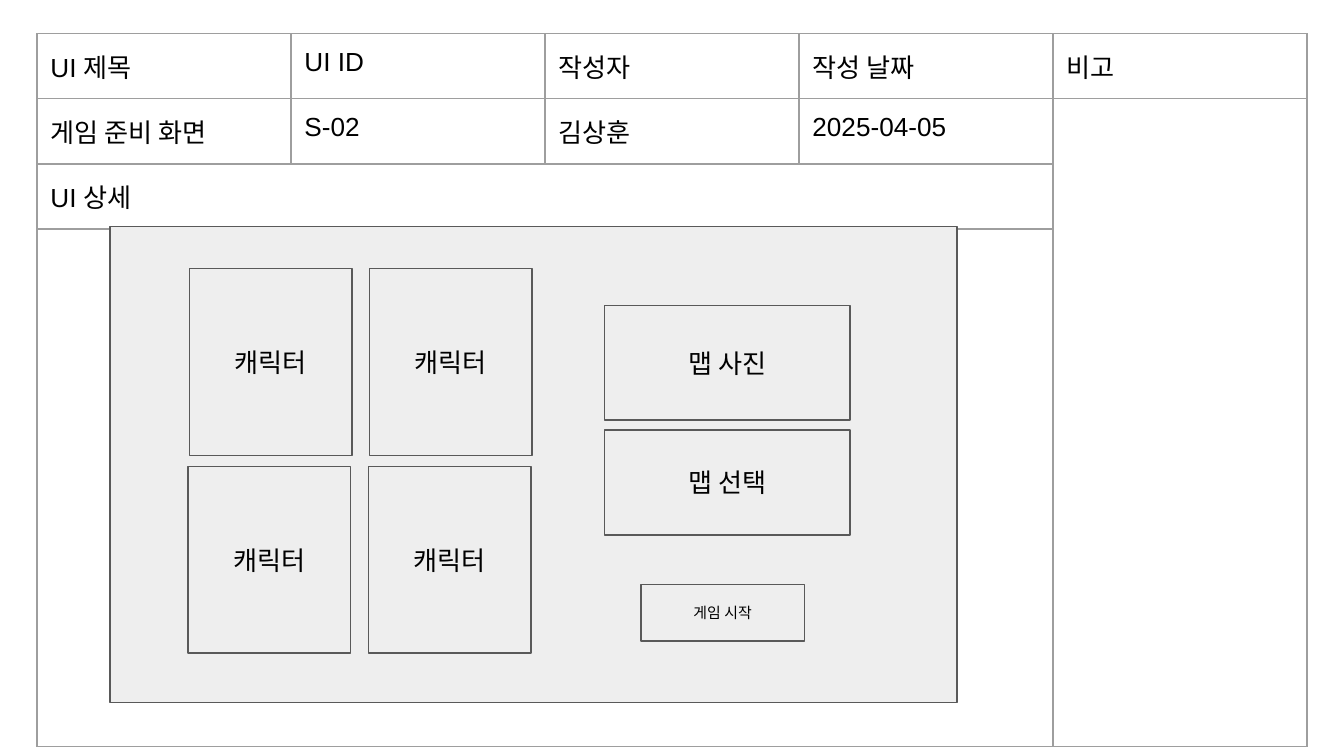
import pptx
import pptx.dml.color
import pptx.enum.shapes
import pptx.enum.text
import pptx.oxml
import pptx.oxml.ns
import pptx.util

BLACK = pptx.dml.color.RGBColor(0x00, 0x00, 0x00)
PANEL = pptx.dml.color.RGBColor(0xEE, 0xEE, 0xEE)
OUTLINE = pptx.dml.color.RGBColor(0x59, 0x59, 0x59)
BORDER = pptx.dml.color.RGBColor(0x9E, 0x9E, 0x9E)

GRID_COLUMNS = 100
SLIDE_WIDTH = pptx.util.Inches(10)
SLIDE_HEIGHT = SLIDE_WIDTH * 9 // 16


class WireframeSlide:
    cell_size = SLIDE_WIDTH // GRID_COLUMNS
    line_width = pptx.util.Pt(0.75)
    text_size = 14
    font_name = "Arial"

    def __init__(self, presentation):
        self.slide = presentation.slides.add_slide(presentation.slide_layouts[6])

    def grid(self, *values):
        return [round(value * self.cell_size) for value in values]

    def apply(self, target, formats):
        for name, value in formats.items():
            setattr(target, name, value)

    def add_text(self, text_frame, text, size):
        paragraph = text_frame.paragraphs[0]
        run = paragraph.add_run()
        run.text = text
        self.apply(run.font, {"name": self.font_name, "size": pptx.util.Pt(size), "bold": False})
        run.font.color.rgb = BLACK
        return paragraph

    def margins(self, target):
        sides = ("left", "top", "right", "bottom")
        self.apply(target, {f"margin_{side}": self.cell_size for side in sides})

    def box(self, left, top, width, height, text="", size=text_size):
        shape = self.slide.shapes.add_shape(
            pptx.enum.shapes.MSO_SHAPE.RECTANGLE, *self.grid(left, top, width, height)
        )
        shape.shadow.inherit = False
        shape.fill.solid()
        shape.fill.fore_color.rgb = PANEL
        shape.line.color.rgb = OUTLINE
        shape.line.width = self.line_width
        if text:
            self.margins(shape.text_frame)
            self.apply(shape.text_frame, {
                "word_wrap": True,
                "vertical_anchor": pptx.enum.text.MSO_ANCHOR.MIDDLE,
            })
            paragraph = self.add_text(shape.text_frame, text, size)
            paragraph.alignment = pptx.enum.text.PP_ALIGN.CENTER

    def border(self, cell):
        properties = cell._tc.get_or_add_tcPr()
        for position, side in enumerate(("lnL", "lnR", "lnT", "lnB")):
            line = pptx.oxml.parse_xml(
                f'<a:{side} {pptx.oxml.ns.nsdecls("a")} w="{int(self.line_width)}">'
                f'<a:solidFill><a:srgbClr val="{BORDER}"/></a:solidFill></a:{side}>'
            )
            properties.insert(position, line)

    def table(self, left, top, width, row_heights, rows, merges):
        column_count = len(rows[0])
        frame = self.slide.shapes.add_table(
            len(rows), column_count, *self.grid(left, top, width, sum(row_heights))
        )
        table = frame.table
        self.apply(table, {"first_row": False, "horz_banding": False})
        for column in table.columns:
            column.width = self.grid(width / column_count)[0]
        for row, height in zip(table.rows, row_heights):
            row.height = self.grid(height)[0]
        for row_index, texts in enumerate(rows):
            for column_index in range(column_count):
                cell = table.cell(row_index, column_index)
                cell.fill.background()
                self.margins(cell)
                self.border(cell)
                if column_index < len(texts):
                    self.add_text(cell.text_frame, texts[column_index], self.text_size)
        for first, last in merges:
            table.cell(*first).merge(table.cell(*last))


def main():
    presentation = pptx.Presentation()
    formats = {"slide_width": SLIDE_WIDTH, "slide_height": SLIDE_HEIGHT}
    for name, value in formats.items():
        setattr(presentation, name, value)

    wireframe = WireframeSlide(presentation)
    wireframe.table(
        2.75, 2.52, 94.5, [4.2, 4.2, 4.2, 38.5],
        [
            ["UI 제목", "UI ID", "작성자", "작성 날짜", "비고"],
            ["게임 준비 화면", "S-02", "김상훈", "2025-04-05"],
            ["UI 상세"],
            [],
        ],
        [((1, 4), (3, 4)), ((2, 0), (2, 3)), ((3, 0), (3, 3))],
    )
    wireframe.box(8.2, 16.85, 63, 35.45)
    wireframe.box(47.7, 43.5, 12.15, 4.2, "게임 시작", 8)
    wireframe.box(45, 22.75, 18.25, 8.5, "맵 사진")
    wireframe.box(45, 32, 18.25, 7.8, "맵 선택")
    for left, top in ((14.1, 20), (14, 34.7)):
        for column in range(2):
            wireframe.box(left + column * 13.4, top, 12.1, 13.9, "캐릭터")

    presentation.save("out.pptx")


if __name__ == "__main__":
    main()
